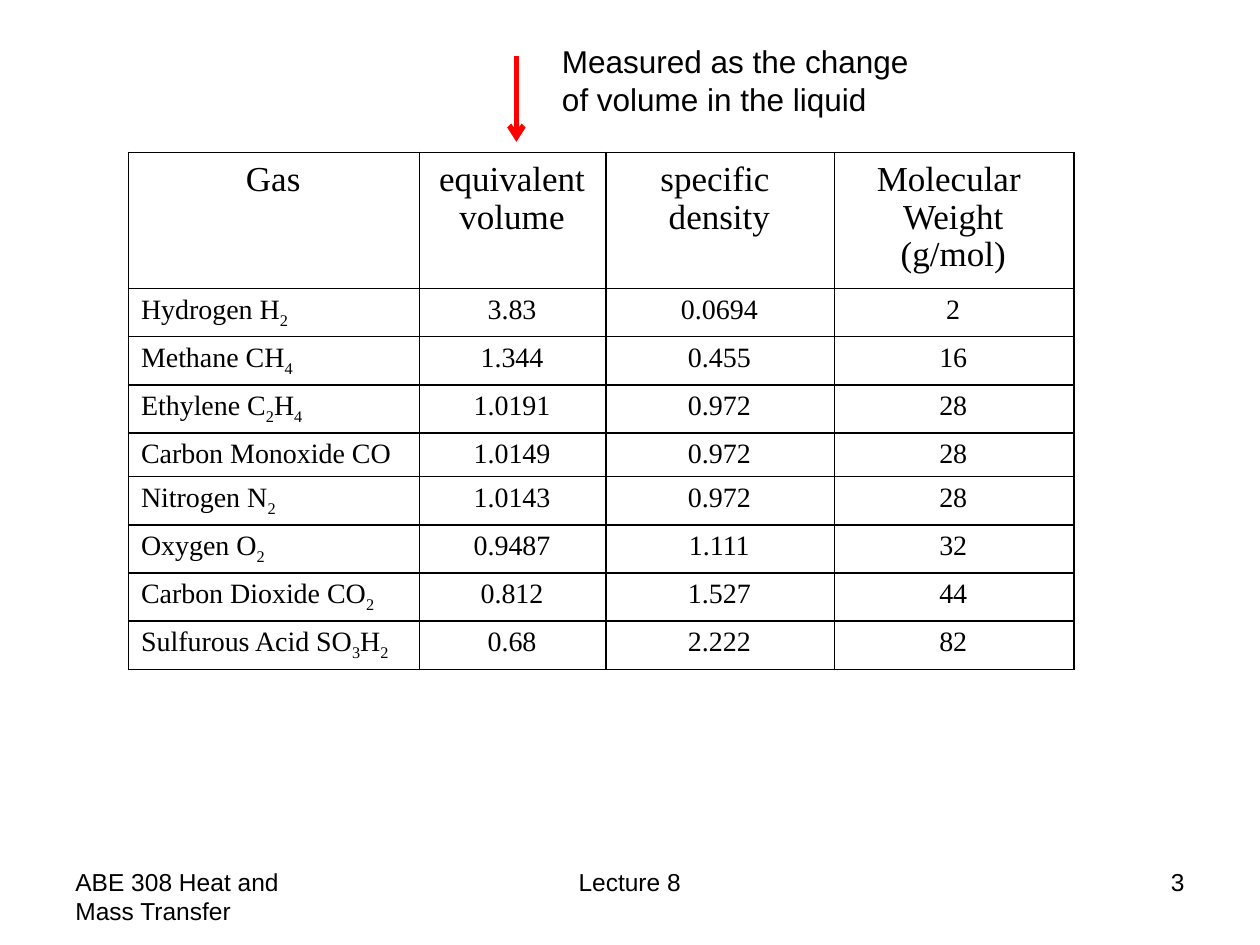
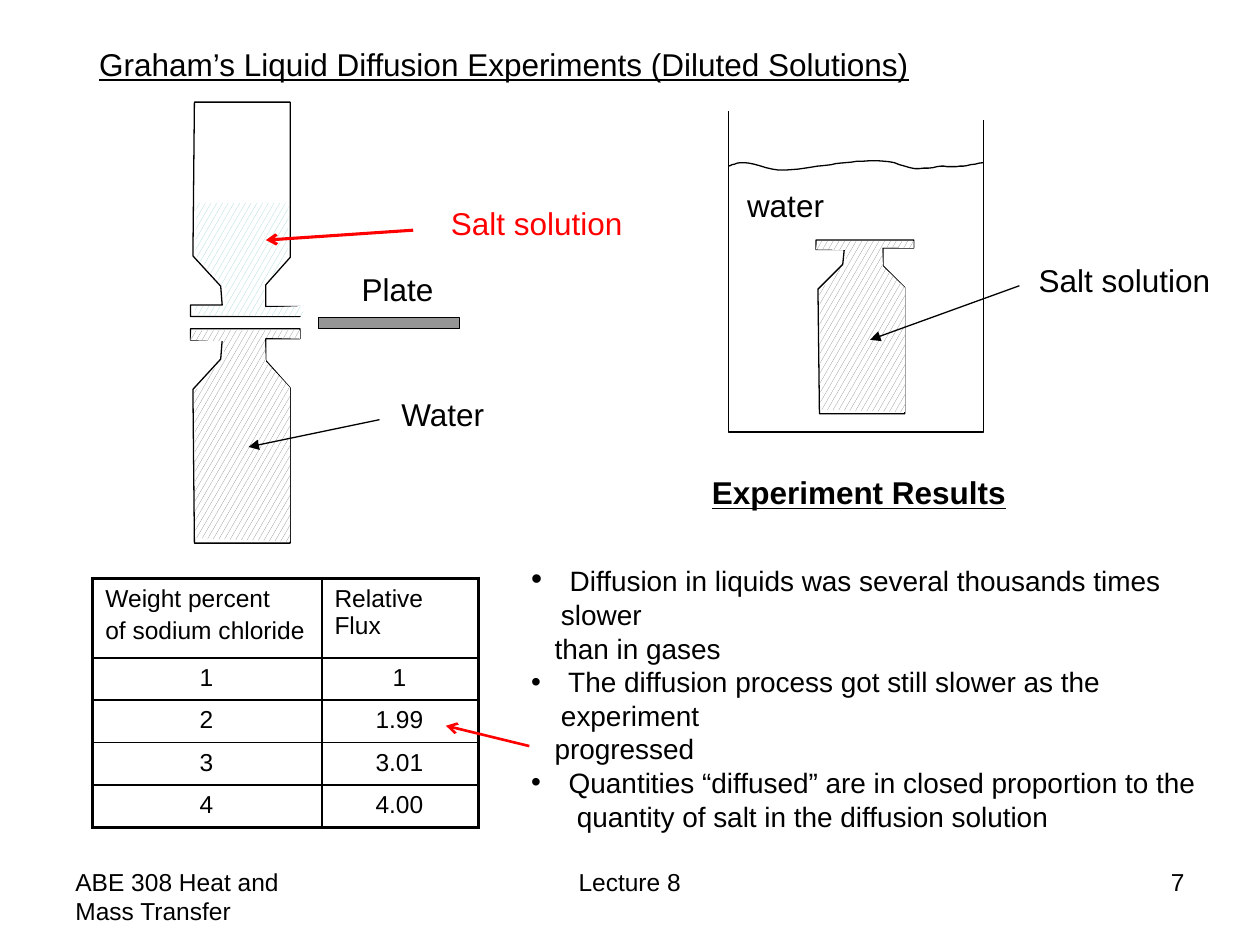
from dataclasses import dataclass
from itertools import groupby

from lxml.etree import SubElement
from pptx import Presentation
from pptx.dml.color import RGBColor
from pptx.enum.dml import MSO_PATTERN
from pptx.enum.shapes import MSO_CONNECTOR, MSO_SHAPE
from pptx.enum.text import PP_ALIGN
from pptx.oxml import parse_xml
from pptx.oxml.ns import nsdecls, qn
from pptx.util import Cm, Pt

LEFT, CENTER, RIGHT = PP_ALIGN.LEFT, PP_ALIGN.CENTER, PP_ALIGN.RIGHT
CONFETTI = MSO_PATTERN.LARGE_CONFETTI
STRAIGHT = MSO_CONNECTOR.STRAIGHT
RECTANGLE = MSO_SHAPE.RECTANGLE


@dataclass(frozen=True)
class Theme:
    ink: RGBColor = RGBColor(0, 0, 0)
    paper: RGBColor = RGBColor(255, 255, 255)
    accent: RGBColor = RGBColor(255, 0, 0)
    plate: RGBColor = RGBColor(0x96, 0x96, 0x96)
    water: RGBColor = RGBColor(0x80, 0x80, 0x80)
    salt: RGBColor = RGBColor(0x9E, 0xD3, 0xD7)
    sans: str = "Arial"
    serif: str = "Times New Roman"
    label: int = 18
    head: int = 20
    body: int = 16
    small: int = 14
    thin: float = 0.75
    rule: float = 1
    frame: float = 2.25


theme = Theme()


def style(para, size, face=theme.sans, color=theme.ink, align=LEFT):
    para.alignment = align
    para.font.size = Pt(size)
    para.font.name = face
    para.font.color.rgb = color


def add_text(page, text, left, top, width, height, size=theme.label,
             color=theme.ink, align=LEFT, wrap=False):
    box = page.shapes.add_textbox(Cm(left), Cm(top), Cm(width), Cm(height))
    box.text_frame.word_wrap = wrap
    box.text_frame.text = text
    for para in box.text_frame.paragraphs:
        style(para, size, color=color, align=align)
    return box.text_frame


deck = Presentation()
deck.slide_width, deck.slide_height = Cm(25.4), Cm(19.05)
blank = deck.slide_layouts[6]
gas_page, liquid_page = [deck.slides.add_slide(blank) for _ in range(2)]

for page, number in [(gas_page, "3"), (liquid_page, "7")]:
    for text, left, width, align in [
        ("ABE 308 Heat and Mass Transfer", 1.27, 5.92, LEFT),
        ("Lecture 8", 8.67, 8.05, CENTER),
        (number, 18.21, 5.92, RIGHT),
    ]:
        add_text(page, text, left, 17.35, width, 1.32, theme.small, align=align, wrap=True)

bottle = [(8, 432), (201, 432), (201, 119), (152, 64), (152, 20), (221, 20),
          (221, 0), (0, 0), (0, 23), (64, 23), (61, 61), (5, 122)]
filling = [(10, 422), (8, 127), (69, 56), (66, 25), (0, 23), (3, 3),
           (221, 3), (221, 20), (150, 18), (152, 66), (201, 119), (201, 429)]
salt_filling = [(452, 617), (391, 617), (396, 635), (610, 638), (612, 617), (533, 620),
                (533, 574), (582, 518), (582, 409), (396, 409), (394, 516), (457, 584)]
beaker = [(1468, 224), (1468, 871), (1982, 871), (1982, 241)]

wave_curves = [
    ((1476, 333), (1483, 328), (1501, 328)),
    ((1516, 328), (1544, 340), (1570, 343)),
    ((1593, 343), (1626, 340), (1648, 335)),
    ((1671, 333), (1681, 330), (1704, 328)),
    ((1727, 325), (1755, 323), (1781, 325)),
    ((1803, 325), (1824, 338), (1844, 340)),
    ((1862, 340), (1882, 338), (1897, 335)),
    ((1910, 335), (1920, 338), (1935, 335)),
    ((1948, 335), (1966, 330), (1982, 328)),
]
wave = [(1468, 335)]
for first, second, end in wave_curves:
    start = wave[-1]
    for step in range(1, 7):
        t = step / 6
        wave.append(tuple(
            (1 - t) ** 3 * a + 3 * t * (1 - t) ** 2 * b + 3 * t * t * (1 - t) * c + t ** 3 * d
            for a, b, c, d in zip(start, first, second, end)
        ))

for points, left, top, scale_x, scale_y, closed, hatch in [
    (bottle, 384, 638, 1, -1, True, None),
    (bottle, 384, 663, 1, 1, True, None),
    (filling, 384, 663, 1, 1, True, theme.water),
    (salt_filling, 0, 0, 1, 1, True, theme.salt),
    (bottle, 1645, 484, 0.89, 0.81, True, None),
    (filling, 1645, 484, 0.89, 0.81, True, theme.water),
    (beaker, 0, 0, 1, 1, False, None),
    (wave, 0, 0, 1, 1, False, None),
]:
    placed = [(round(left + x * scale_x), round(top + y * scale_y)) for x, y in points]
    builder = liquid_page.shapes.build_freeform(*placed[0], scale=Cm(0.01))
    builder.add_line_segments(placed[1:], close=closed)
    outline = builder.convert_to_shape()
    outline.shadow.inherit = False
    if hatch is None:
        outline.fill.background()
        outline.line.color.rgb = theme.ink
        outline.line.width = Pt(theme.thin)
    else:
        outline.fill.patterned()
        outline.fill.pattern = CONFETTI
        outline.fill.fore_color.rgb = hatch
        outline.fill.back_color.rgb = theme.paper
        outline.line.fill.background()

plate = liquid_page.shapes.add_shape(RECTANGLE, Cm(6.42), Cm(6.4), Cm(2.84), Cm(0.23))
plate.shadow.inherit = False
plate.fill.solid()
plate.fill.fore_color.rgb = theme.plate
plate.line.color.rgb = theme.ink
plate.line.width = Pt(theme.thin)

gas_rows = [
    ("Gas", "equivalent volume", "specific \ndensity", "Molecular \nWeight (g/mol)"),
    ("Hydrogen H2", "3.83", "0.0694", "2"),
    ("Methane CH4", "1.344", "0.455", "16"),
    ("Ethylene C2H4", "1.0191", "0.972", "28"),
    ("Carbon Monoxide CO", "1.0149", "0.972", "28"),
    ("Nitrogen N2", "1.0143", "0.972", "28"),
    ("Oxygen O2", "0.9487", "1.111", "32"),
    ("Carbon Dioxide CO2", "0.812", "1.527", "44"),
    ("Sulfurous Acid SO3H2", "0.68", "2.222", "82"),
]
flux_rows = [
    ("Weight percent\nof sodium chloride", "Relative Flux"),
    ("1", "1"), ("2", "1.99"), ("3", "3.01"), ("4", "4.00"),
]
gas_names = {(row, 0) for row in range(1, len(gas_rows))}
flux_heads = {(0, 0), (0, 1)}
gas_insets = ((0.18, 0.1), (0.11, 0.09))
flux_insets = ((0.13, 0.13), (0.13, 0.13))

for (page, rows, left, top, widths, heights, face, sizes, frame, gap, left_cells,
     insets, head_spacing) in [
    (gas_page, gas_rows, 2.59, 3.07, (5.87, 3.76, 4.6, 4.83), (1.78, 0.76), theme.serif,
     (theme.head, theme.body), theme.rule, 0, gas_names, gas_insets, 0.975),
    (liquid_page, flux_rows, 1.87, 11.66, (4.62, 3.16), (1.6, 0.85), theme.sans,
     (theme.small, theme.small), theme.frame, 2.8, flux_heads, flux_insets, 1.0),
]:
    last_row, last_column = len(rows) - 1, len(widths) - 1
    table = page.shapes.add_table(
        len(rows), len(widths), Cm(left), Cm(top), Cm(sum(widths)),
        Cm(heights[0] + heights[1] * last_row)).table
    table.first_row = table.horz_banding = False
    for column, width in zip(table.columns, widths):
        column.width = Cm(width)
    for r, values in enumerate(rows):
        kind = min(r, 1)
        table.rows[r].height = Cm(heights[kind])
        for c, value in enumerate(values):
            cell = table.cell(r, c)
            cell.margin_top, cell.margin_bottom = map(Cm, insets[kind])
            cell.margin_right = Cm(0.29)
            if rows is gas_rows and (r, c) in gas_names:
                para = cell.text_frame.paragraphs[0]
                for is_count, letters in groupby(value, str.isdigit):
                    span = para.add_run()
                    span.text = "".join(letters)
                    if is_count:
                        span._r.get_or_add_rPr().set("baseline", "-25000")
            else:
                cell.text_frame.text = value
            for index, para in enumerate(cell.text_frame.paragraphs):
                style(para, sizes[kind], face,
                      align=LEFT if (r, c) in left_cells else CENTER)
                if r == 0:
                    para.line_spacing = head_spacing
                if index:
                    para.space_before = Pt(gap)
            properties = cell._tc.get_or_add_tcPr()
            for edge, outer in [("L", c == 0), ("R", c == last_column),
                                ("T", r == 0), ("B", r == last_row)]:
                weight = Pt(frame if outer else theme.rule)
                properties.append(parse_xml(
                    f'<a:ln{edge} {nsdecls("a")} w="{weight}"><a:solidFill>'
                    f'<a:srgbClr val="{theme.ink}"/></a:solidFill></a:ln{edge}>'))
            cell.fill.background()

add_text(gas_page, "Measured as the change\nof volume in the liquid", 11.08, 0.72, 7.75, 1.8)
title = add_text(liquid_page, "Graham’s Liquid Diffusion Experiments (Diluted Solutions)",
                 1.75, 0.79, 16.84, 1.02)
results = add_text(liquid_page, "Experiment Results", 14.1, 9.42, 6.43, 1.02)
for heading in (title, results):
    heading.paragraphs[0].font.underline = True
results.paragraphs[0].font.bold = True

for text, left, top, width, color in [
    ("Plate", 7.04, 5.31, 1.96, theme.ink),
    ("water", 14.81, 3.63, 2.06, theme.ink),
    ("Salt solution", 20.69, 5.13, 3.96, theme.ink),
    ("Salt solution", 8.84, 3.99, 4.01, theme.accent),
    ("Water", 7.84, 7.84, 2.21, theme.ink),
]:
    add_text(liquid_page, text, left, top, width, 1.02, color=color)

findings = add_text(
    liquid_page,
    "Diffusion in liquids was several thousands times slower\n"
    "than in gases\n"
    " The diffusion process got still slower as the experiment\n"
    "progressed\n"
    " Quantities “diffused” are in closed proportion to the\n"
    "quantity of salt in the diffusion solution",
    10.46, 11.16, 14.76, 4.45, theme.body, wrap=True)
for para, margin, hanging in zip(
        findings.paragraphs, (0.6, 0.47, 0.6, 0.47, 0.6, 0.92), (True, False) * 3):
    properties = para._p.get_or_add_pPr()
    properties.set("marL", str(Cm(margin)))
    if hanging:
        properties.set("indent", str(Cm(-margin)))
        properties.insert(0, parse_xml(f'<a:buFont {nsdecls("a")} typeface="{theme.sans}"/>'))
        properties.insert(1, parse_xml(f'<a:buChar {nsdecls("a")} char="•"/>'))
opening = findings.paragraphs[0]
sentence = opening.runs[0].text
opening.runs[0].text = " "
opening.runs[0].font.size = Pt(theme.label)
opening.add_run().text = sentence

for page, start, end, color, weight, head in [
    (gas_page, (10.41, 1.12), (10.41, 2.86), theme.accent, 3, "arrow"),
    (liquid_page, (20.55, 5.76), (17.54, 6.85), theme.ink, theme.thin, "triangle"),
    (liquid_page, (10.67, 15.04), (8.99, 14.63), theme.accent, 1.5, "arrow"),
    (liquid_page, (8.33, 4.64), (5.36, 4.84), theme.accent, 1.75, "arrow"),
    (liquid_page, (7.65, 8.46), (5.01, 9.01), theme.ink, theme.thin, "triangle"),
]:
    arrow = page.shapes.add_connector(STRAIGHT, *map(Cm, start + end))
    arrow.line.color.rgb = color
    arrow.line.width = Pt(weight)
    SubElement(arrow.line._get_or_add_ln(), qn("a:tailEnd"), type=head)
    SubElement(arrow._element.spPr, qn("a:effectLst"))

deck.save("out.pptx")
